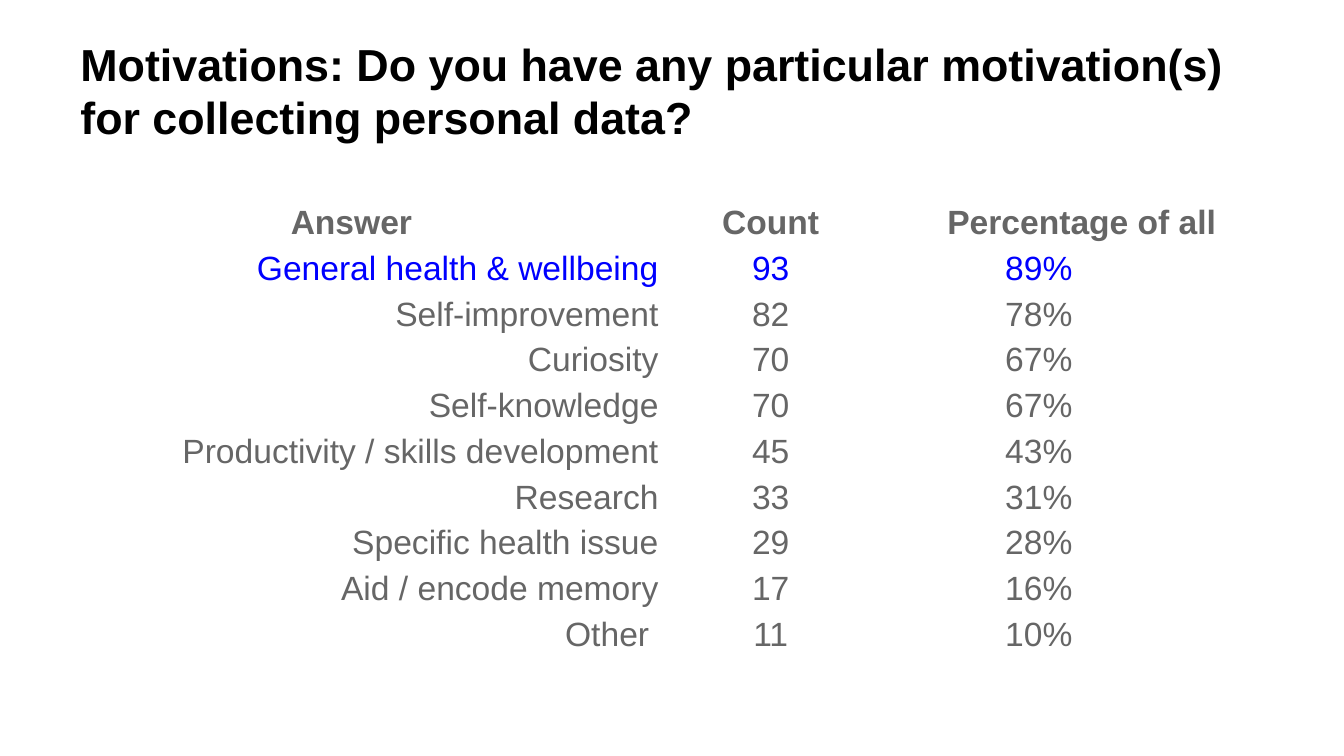
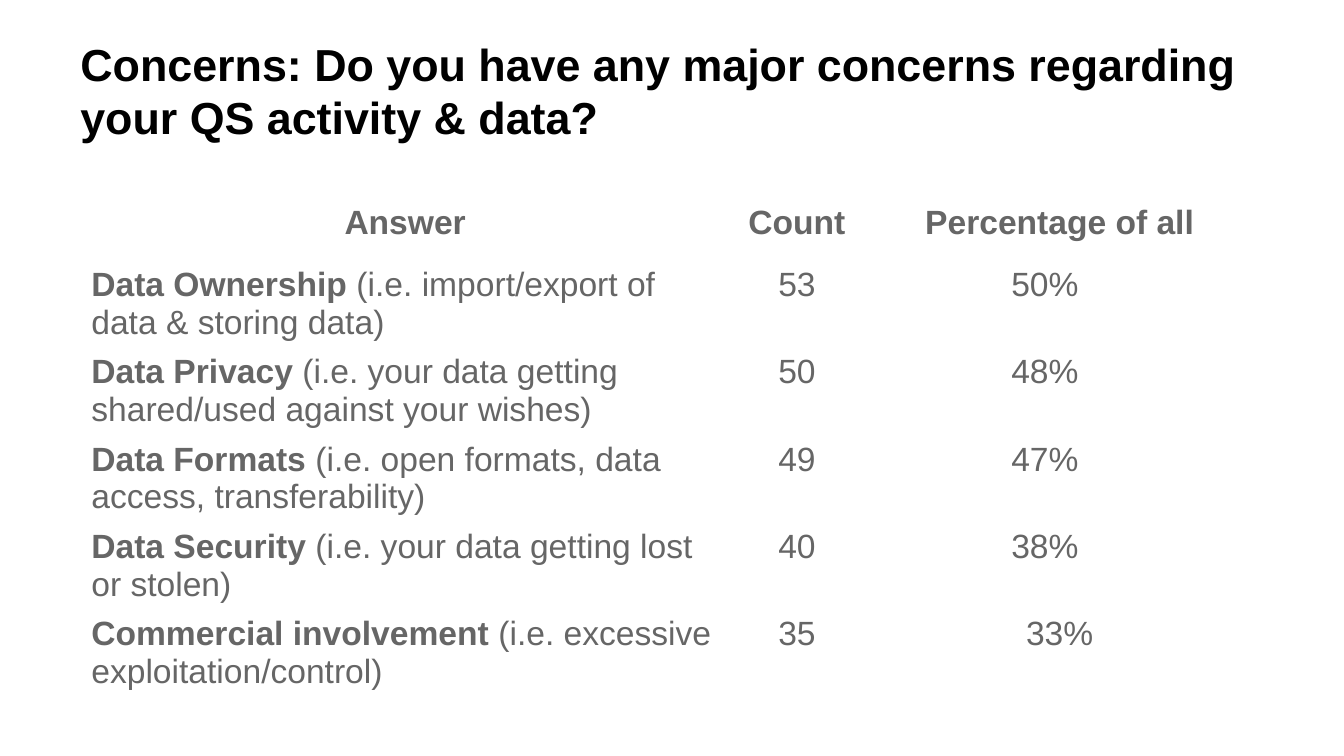
from pptx import Presentation
from pptx.dml.color import RGBColor
from pptx.enum.text import MSO_ANCHOR, PP_ALIGN
from pptx.util import Inches, Pt

FONT = "Arial"
COLORS = {"title": "000000", "text": "666666", "accent": "0000FF", "page": "FFFFFF"}
HEAD = ("Answer", "Count", "Percentage of all")
PAD = 0.1

# Each answer: bold part, plain part, count, percentage
SLIDES = [
    {
        "title": "Motivations: Do you have any particular motivation(s) for collecting personal data?",
        "left": 0.23,
        "cols": (4.77, 1.47, 3.16),
        "head": 0.34,
        "row": 0.34,
        "align": PP_ALIGN.RIGHT,
        "accent": 1,
        "shift": 0.64,
        "insets": {(9, 0): 0.07},
        "answers": [
            ("", "General health & wellbeing", "93", "89%"),
            ("", "Self-improvement", "82", "78%"),
            ("", "Curiosity", "70", "67%"),
            ("", "Self-knowledge", "70", "67%"),
            ("", "Productivity / skills development", "45", "43%"),
            ("", "Research", "33", "31%"),
            ("", "Specific health issue", "29", "28%"),
            ("", "Aid / encode memory", "17", "16%"),
            ("", "Other", "11", "10%"),
        ],
    },
    {
        "title": "Concerns: Do you have any major concerns regarding your QS activity & data?",
        "left": 0.58,
        "cols": (4.87, 0.96, 2.95),
        "head": 0.46,
        "row": 0.65,
        "align": PP_ALIGN.LEFT,
        "accent": None,
        "shift": 0.22,
        "insets": {(5, 2): 0},
        "answers": [
            ("Data Ownership", " (i.e. import/export of data & storing data)", "53", "50%"),
            ("Data Privacy", " (i.e. your data getting shared/used against your wishes)", "50", "48%"),
            ("Data Formats", " (i.e. open formats, data access, transferability)", "49", "47%"),
            ("Data Security", " (i.e. your data getting lost or stolen)", "40", "38%"),
            ("Commercial involvement", " (i.e. excessive exploitation/control)", "35", "33%"),
        ],
    },
]


def style(par, size, color, bold=False):
    font = par.font
    font.name, font.size, font.bold = FONT, Pt(size), bold
    font.color.rgb = RGBColor.from_string(COLORS[color])


def add_title(slide, text):
    frame = slide.shapes.add_textbox(
        Inches(0.5), Inches(0.23), Inches(9), Inches(0.94)).text_frame
    frame.word_wrap = True
    frame.vertical_anchor = MSO_ANCHOR.BOTTOM
    frame.margin_left = frame.margin_right = Inches(PAD)
    frame.margin_top = frame.margin_bottom = Inches(PAD)
    par = frame.paragraphs[0]
    par.text = text
    style(par, 24, "title", True)


def fill_cell(cell, parts, align, color, inset=0):
    """Write (text, bold) parts; inset adds space on the right."""
    cell.fill.solid()
    cell.fill.fore_color.rgb = RGBColor.from_string(COLORS["page"])
    cell.margin_left, cell.margin_right = Inches(PAD), Inches(PAD + inset)
    cell.margin_top, cell.margin_bottom = Inches(0.03), Inches(0.01)
    par = cell.text_frame.paragraphs[0]
    par.alignment = align
    parts = [part for part in parts if part[0]]
    style(par, 18, color, parts[-1][1])
    for text, bold in parts:
        run = par.add_run()
        run.text = text
        if bold != parts[-1][1]:
            run.font.bold = bold


def add_table(slide, data):
    answers, cols = data["answers"], data["cols"]
    heights = [data["head"]] + [data["row"]] * len(answers)
    table = slide.shapes.add_table(
        len(heights), len(cols), Inches(data["left"]), Inches(1.49),
        Inches(sum(cols)), Inches(sum(heights))).table
    table.first_row = table.horz_banding = False
    for col, width in zip(table.columns, cols):
        col.width = Inches(width)
    for row, height in zip(table.rows, heights):
        row.height = Inches(height)

    for col, text in enumerate(HEAD):
        fill_cell(table.cell(0, col), [(text, True)], PP_ALIGN.CENTER, "text")
    aligns = (data["align"], PP_ALIGN.CENTER, PP_ALIGN.CENTER)
    shifts = (0, 0, data["shift"])
    for row, (name, detail, count, share) in enumerate(answers, 1):
        color = "accent" if row == data["accent"] else "text"
        cells = ([(name, True), (detail, False)], [(count, False)], [(share, False)])
        for col, parts in enumerate(cells):
            inset = data["insets"].get((row, col), shifts[col])
            fill_cell(table.cell(row, col), parts, aligns[col], color, inset)


def main():
    deck = Presentation()
    deck.slide_width = Inches(10)
    deck.slide_height = deck.slide_width * 9 // 16
    for data in SLIDES:
        slide = deck.slides.add_slide(deck.slide_layouts[6])
        add_title(slide, data["title"])
        add_table(slide, data)
    deck.save("out.pptx")


if __name__ == "__main__":
    main()
